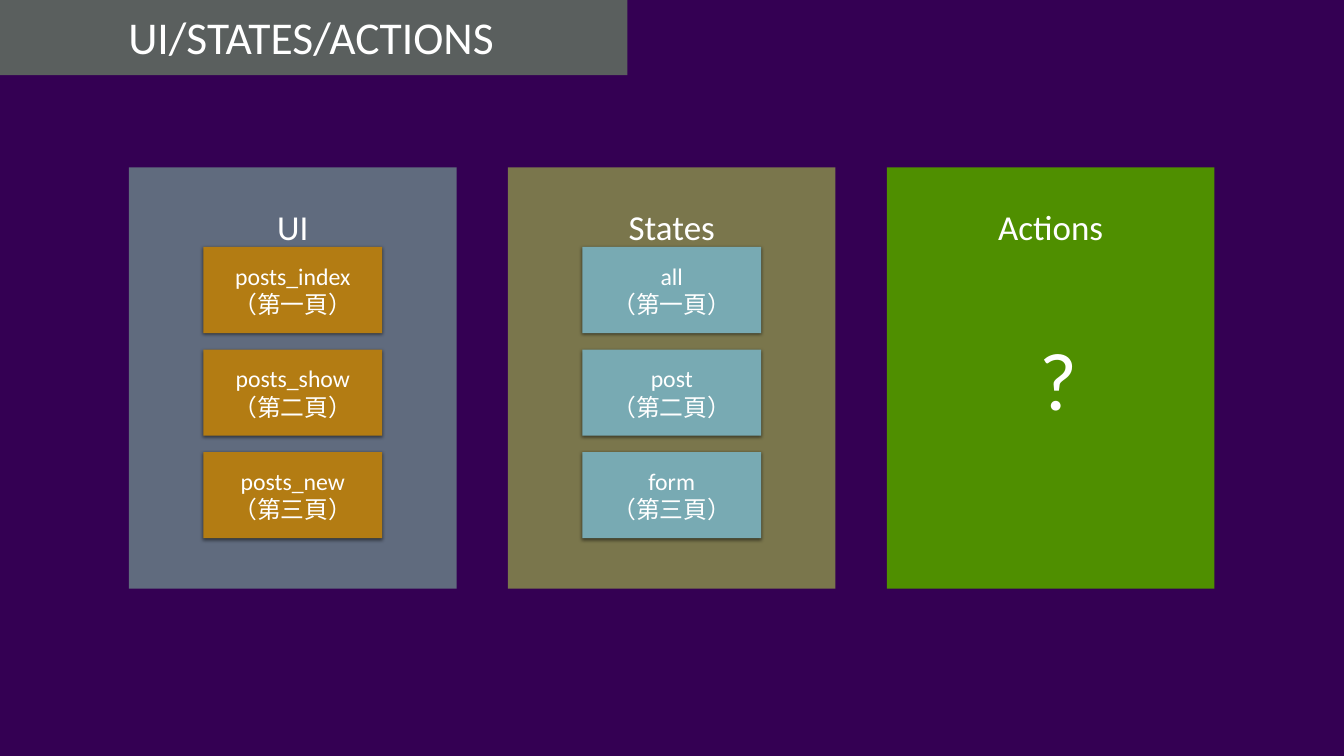
from dataclasses import dataclass

from lxml.etree import SubElement
from pptx import Presentation
from pptx.dml.color import RGBColor
from pptx.enum.shapes import MSO_SHAPE as Shape
from pptx.enum.text import MSO_ANCHOR as Anchor, MSO_AUTO_SIZE as AutoSize, PP_ALIGN as Align
from pptx.oxml.ns import qn
from pptx.util import Inches, Pt

PANEL_LEFT, PANEL_TOP, PANEL_WIDTH, PANEL_HEIGHT = 2.56, 3.32, 6.5, 8.36
PANEL_PITCH = 7.52
CARD_TOP, CARD_WIDTH, CARD_HEIGHT, CARD_PITCH = 4.9, 3.55, 1.71, 2.035
HEADING_INSET = 0.76
PAGES = ("（第一頁）", "（第二頁）", "（第三頁）")


@dataclass
class Panel:
    heading: str
    color: str
    card_color: str = ""
    cards: tuple[str, ...] = ()


PANELS = (
    Panel("UI", "606B7E", "B37C13", ("posts_index", "posts_show", "posts_new")),
    Panel("States", "7A764C", "78AAB3", ("all", "post", "form")),
    Panel("Actions", "4F8F00"),
)


def set_color(target, color: str) -> None:
    target.solid()
    target.fore_color.rgb = RGBColor.from_string(color)


def write(shape, lines: tuple[str, ...], size: float, **frame_format) -> None:
    frame = shape.text_frame
    inset = Inches(0.06)
    values = {
        "margin_left": inset, "margin_top": inset,
        "margin_right": inset, "margin_bottom": inset,
        "vertical_anchor": Anchor.MIDDLE, "word_wrap": True,
        "auto_size": AutoSize.NONE,
    } | frame_format
    for name, value in values.items():
        setattr(frame, name, value)
    frame.text = "\n".join(lines)
    for paragraph in frame.paragraphs:
        paragraph.alignment = Align.CENTER
        for run in paragraph.runs:
            for name, value in {"name": "Calibri", "size": Pt(size), "bold": False}.items():
                setattr(run.font, name, value)
            set_color(run.font.fill, "FFFFFF")


def add_box(slide, left: float, top: float, width: float, height: float, color: str):
    box = slide.shapes.add_shape(
        Shape.RECTANGLE, Inches(left), Inches(top), Inches(width), Inches(height))
    box.shadow.inherit = False
    set_color(box.fill, color)
    box.line.fill.background()
    return box


def add_shadow(shape) -> None:
    effects = shape._element.spPr.find(qn("a:effectLst"))
    shadow = SubElement(effects, qn("a:outerShdw"), blurRad=str(Pt(5)),
                        dist=str(Pt(2)), dir="5400000", rotWithShape="0")
    color = SubElement(shadow, qn("a:srgbClr"), val="000000")
    SubElement(color, qn("a:alpha"), val="50000")


def add_panel(slide, panel: Panel, left: float) -> None:
    box = add_box(slide, left, PANEL_TOP, PANEL_WIDTH, PANEL_HEIGHT, panel.color)
    write(box, (panel.heading,), 50,
          vertical_anchor=Anchor.TOP, margin_top=Inches(HEADING_INSET))
    card_left = left + (PANEL_WIDTH - CARD_WIDTH) / 2
    for row, (name, page) in enumerate(zip(panel.cards, PAGES)):
        card = add_box(slide, card_left, CARD_TOP + row * CARD_PITCH,
                       CARD_WIDTH, CARD_HEIGHT, panel.card_color)
        add_shadow(card)
        write(card, (name, page), 34)


def add_title(slide, text: str) -> None:
    title = slide.shapes.title
    position = {"left": -0.1, "top": -0.03, "width": 12.55, "height": 1.52}
    for name, value in position.items():
        setattr(title, name, Inches(value))
    set_color(title.fill, "5A5F5E")
    write(title, (text,), 65)


def main() -> None:
    presentation = Presentation()
    presentation.slide_width = Inches(26.67)
    presentation.slide_height = Inches(15)
    slide = presentation.slides.add_slide(presentation.slide_layouts[5])
    set_color(slide.background.fill, "340053")
    add_title(slide, "UI/STATES/ACTIONS")
    for column, panel in enumerate(PANELS):
        add_panel(slide, panel, PANEL_LEFT + column * PANEL_PITCH)
    question = slide.shapes.add_textbox(
        Inches(20.56), Inches(6.52), Inches(0.58), Inches(1.96))
    write(question, ("?",), 117, word_wrap=False, auto_size=AutoSize.SHAPE_TO_FIT_TEXT)
    presentation.save("out.pptx")


if __name__ == "__main__":
    main()
